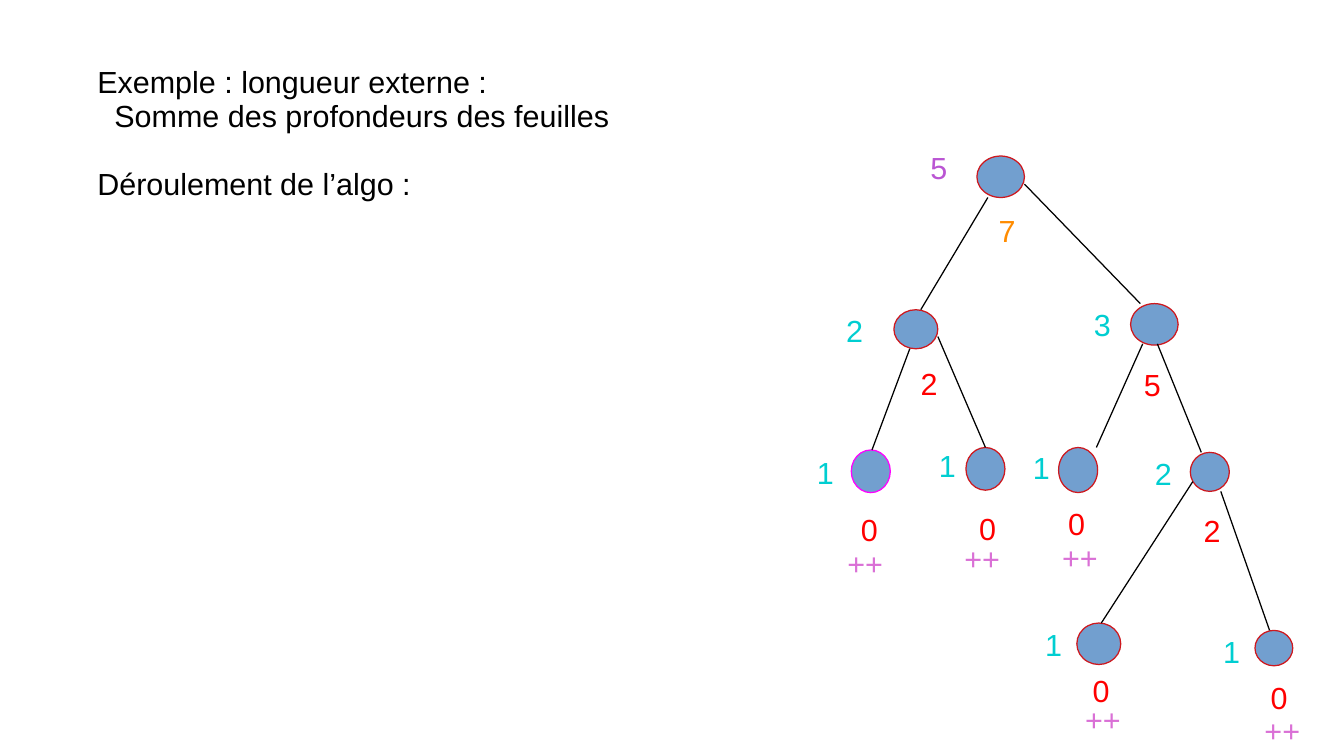
from dataclasses import dataclass

from pptx import Presentation
from pptx.dml.color import RGBColor
from pptx.enum.shapes import MSO_CONNECTOR, MSO_SHAPE
from pptx.oxml.ns import qn
from pptx.util import Inches, Pt
from lxml import etree

STRAIGHT = MSO_CONNECTOR.STRAIGHT
OVAL = MSO_SHAPE.OVAL
BLANK_LAYOUT = 6


@dataclass(frozen=True)
class Theme:
    font: str = "Arial"
    size: int = 18
    spacing: float = 0.93
    line_width: float = 0.75
    text: str = "000000"
    node: str = "729FCF"
    outline: str = "CE181E"
    current: str = "FF00FF"
    count: str = "00CED1"
    root_count: str = "BA55D3"
    total: str = "FF0000"
    root_total: str = "FF8C00"
    plus: str = "DA70D6"


THEME = Theme()


@dataclass(frozen=True)
class Node:
    box: tuple
    count: str
    count_at: tuple
    total: str
    total_at: tuple
    plus_at: tuple = ()
    outline: str = THEME.outline
    count_color: str = THEME.count
    total_color: str = THEME.total


NODES = [
    Node((8.01, 1.28, 0.39, 0.34), "5", (7.53, 1.2), "7", (8.09, 1.72),
         count_color=THEME.root_count, total_color=THEME.root_total),
    Node((7.33, 2.54, 0.36, 0.32), "2", (6.84, 2.54), "2", (7.45, 2.97)),
    Node((9.27, 2.49, 0.39, 0.34), "3", (8.87, 2.49), "5", (9.28, 2.98)),
    Node((6.98, 3.69, 0.32, 0.35), "1", (6.6, 3.7), "0", (6.96, 4.17), (6.85, 4.45),
         outline=THEME.current),
    Node((7.92, 3.67, 0.32, 0.35), "1", (7.6, 3.64), "0", (7.93, 4.16), (7.81, 4.41)),
    Node((8.68, 3.67, 0.32, 0.37), "1", (8.37, 3.66), "0", (8.66, 4.12), (8.61, 4.4)),
    Node((9.76, 3.71, 0.32, 0.32), "2", (9.37, 3.71), "2", (9.77, 4.18)),
    Node((8.83, 5.11, 0.36, 0.34), "1", (8.47, 5.11), "0", (8.86, 5.49), (8.8, 5.73)),
    Node((10.29, 5.17, 0.31, 0.29), "1", (9.93, 5.17), "0", (10.32, 5.55), (10.27, 5.82)),
]

BRANCHES = [
    (8.1, 1.62, 7.55, 2.54),
    (8.4, 1.51, 9.35, 2.49),
    (7.46, 2.86, 7.15, 3.69),
    (7.69, 2.76, 8.08, 3.67),
    (9.37, 2.82, 8.99, 3.67),
    (9.49, 2.82, 9.85, 3.71),
    (9.78, 3.95, 9.03, 5.11),
    (10.01, 4.03, 10.41, 5.17),
]

INTRO = [
    ("Exemple : longueur externe :", 0, 0),
    ("Somme des profondeurs des feuilles", 0.14, 0),
    ("Déroulement de l’algo :", 0, 20),
]


def rgb(color):
    """Turn a hex string into a colour."""
    return RGBColor.from_string(color)


def add_box(slide, left, top, width, height):
    """Add a wrapping text box and return its text frame."""
    tf = slide.shapes.add_textbox(*map(Inches, (left, top, width, height))).text_frame
    tf.word_wrap = True
    return tf


def write(p, text, color):
    """Put text in a paragraph and format it."""
    p.text = text
    p.line_spacing = THEME.spacing
    for r in p.runs:
        r.font.name = THEME.font
        r.font.size = Pt(THEME.size)
        r.font.color.rgb = rgb(color)


def add_intro(slide):
    """Add the explanation on the left."""
    tf = add_box(slide, 0.7, 0.47, 5.2, 1.3)
    tf.margin_top = Inches(0.07)
    for i, (text, indent, before) in enumerate(INTRO):
        p = tf.add_paragraph() if i else tf.paragraphs[0]
        write(p, text, THEME.text)
        p.space_before = Pt(before)
        p._p.get_or_add_pPr().set("marL", str(Inches(indent)))


def add_label(slide, at, text, color, width=0.48):
    """Add one short label beside a node."""
    write(add_box(slide, *at, width, 0.38).paragraphs[0], text, color)


def add_branch(slide, ends):
    """Add a line from a parent to a child."""
    s = slide.shapes.add_connector(STRAIGHT, *map(Inches, ends))
    s.line.color.rgb = rgb(THEME.text)
    s.line.width = Pt(THEME.line_width)
    etree.SubElement(s._element.spPr, qn("a:effectLst"))


def add_node(slide, node):
    """Add a tree node with its labels."""
    sp = slide.shapes.add_shape(OVAL, *map(Inches, node.box))
    sp.shadow.inherit = False
    sp.fill.solid()
    sp.fill.fore_color.rgb = rgb(THEME.node)
    sp.line.color.rgb = rgb(node.outline)
    sp.line.width = Pt(THEME.line_width)
    add_label(slide, node.count_at, node.count, node.count_color)
    add_label(slide, node.total_at, node.total, node.total_color)
    if node.plus_at:
        add_label(slide, node.plus_at, "++", THEME.plus, 0.54)


def main():
    """Build and save the slide."""
    prs = Presentation()
    prs.slide_width = Inches(11.02)
    prs.slide_height = Inches(6.2)
    slide = prs.slides.add_slide(prs.slide_layouts[BLANK_LAYOUT])
    add_intro(slide)
    for node in NODES:
        add_node(slide, node)
    for ends in BRANCHES:
        add_branch(slide, ends)
    prs.save("out.pptx")


if __name__ == "__main__":
    main()
